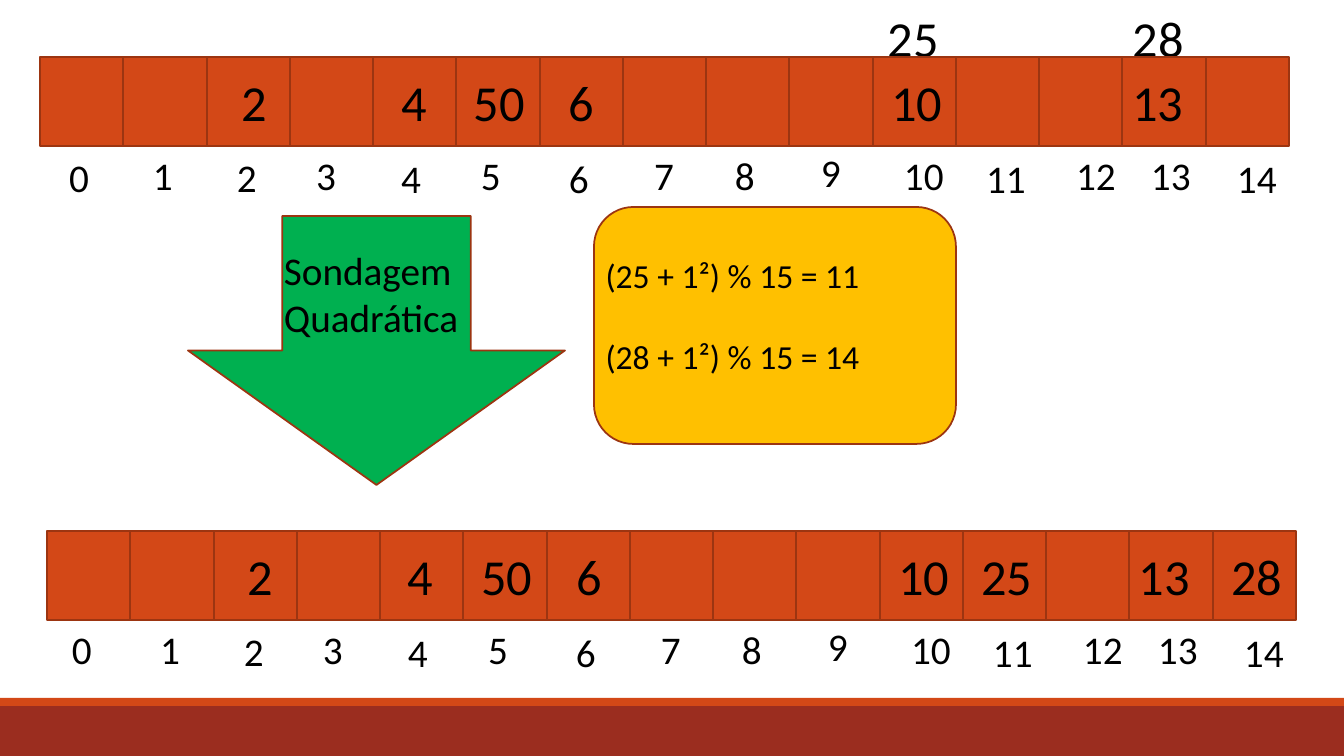
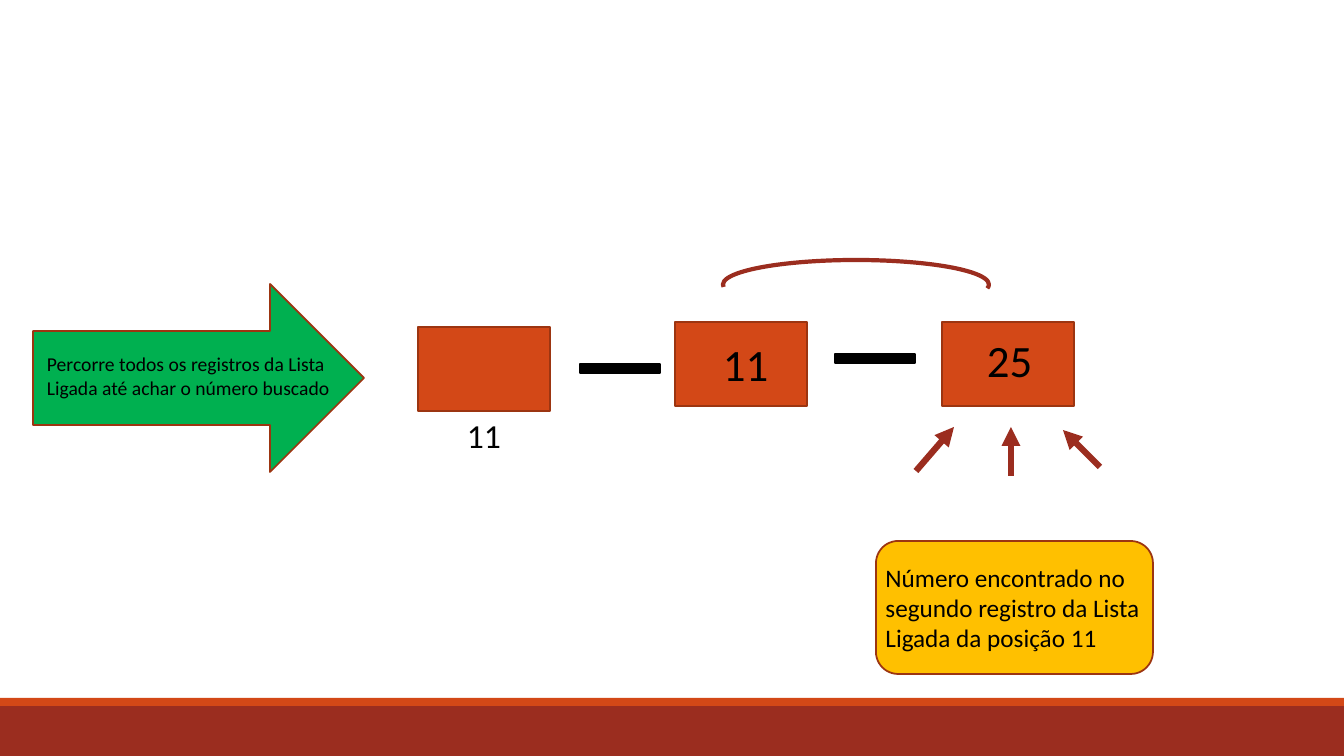
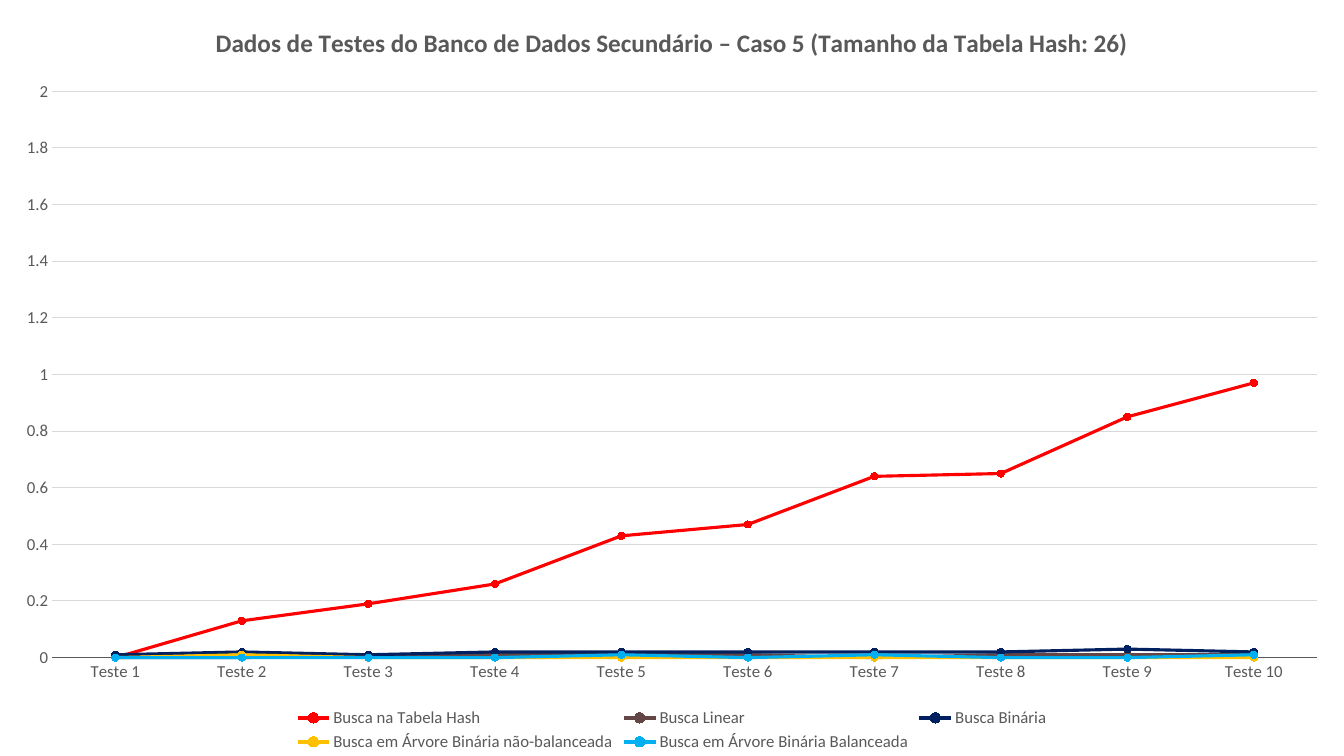
from lxml import etree
from pptx import Presentation
from pptx import util as u
from pptx.chart.data import CategoryChartData
from pptx.dml.color import RGBColor
from pptx.enum import chart as charts, shapes, text
from pptx.oxml import parse_xml
from pptx.oxml.ns import nsdecls, qn

WIDTH, HEIGHT = 1344, 756
PX = 914400 / 100.8
FONT = "Calibri"
COLOURS = {
    "cell": "D34817", "edge": "9C3511", "band": "9B2D1F", "arrow": "00B050",
    "note": "FFC000", "ink": "000000", "paper": "FFFFFF",
    "label": "595959", "grid": "D9D9D9",
    "hash": "FF0000", "linear": "644646", "binary": "002060",
    "unbalanced": "FFC000", "balanced": "00B0F0",
}

SLOTS = 15
ROW_WIDTH, CELL_HEIGHT = 1249, 89
# Left inset of each stored key, by slot
STORED = {2: ("2", 34), 4: ("4", 28), 5: ("50", 18), 6: ("6", 29),
          10: ("10", 18), 13: ("13", 10)}
REHASHED = {11: ("25", 18), 14: ("28", 18)}
# Offset of each slot number from the lower left corner of its cell
NUMBER_OFFSETS = [(19, 2), (20, 0), (20, 2), (16, 0), (18, 3), (15, 0), (19, 3),
                  (21, 0), (19, 0), (22, -3), (21, 0), (20, 3), (27, 0), (19, 0),
                  (21, 3)]

TESTS = [f"Teste {n}" for n in range(1, 11)]
CHART_TITLE = ("Dados de Testes do Banco de Dados Secundário – Caso 5 "
               "(Tamanho da Tabela Hash: 26)")
SEARCHES = [
    ("Busca na Tabela Hash", "hash",
     (0, 0.13, 0.19, 0.26, 0.43, 0.47, 0.64, 0.65, 0.85, 0.97)),
    ("Busca Linear", "linear",
     (0, 0, 0.01, 0.01, 0.01, 0.01, 0, 0.01, 0.01, 0.01)),
    ("Busca Binária", "binary",
     (0.01, 0.02, 0.01, 0.02, 0.02, 0.02, 0.02, 0.02, 0.03, 0.02)),
    ("Busca em Árvore Binária não-balanceada", "unbalanced",
     (0, 0.01, 0, 0, 0, 0, 0, 0, 0, 0)),
    ("Busca em Árvore Binária Balanceada", "balanced",
     (0, 0, 0, 0, 0.01, 0, 0.01, 0, 0, 0.01)),
]


def px(length):
    return u.Emu(round(length * PX))


def rgb(name):
    return RGBColor.from_string(COLOURS[name])


def style_font(font, size, colour="ink", bold=False):
    font.name, font.size, font.bold = FONT, u.Pt(size), bold
    font.color.rgb = rgb(colour)


def write(frame, lines, size, insets=(10, 5, 10, 5), gap=0):
    """Write one left-aligned paragraph per line; insets run left, top, right, bottom."""
    frame.word_wrap = True
    (frame.margin_left, frame.margin_top,
     frame.margin_right, frame.margin_bottom) = map(px, insets)
    for n, line in enumerate(lines):
        paragraph = frame.add_paragraph() if n else frame.paragraphs[0]
        paragraph.alignment = text.PP_ALIGN.LEFT
        if n and gap:
            paragraph.space_before = u.Pt(gap)
        run = paragraph.add_run()
        run.text = line
        style_font(run.font, size)


def add_label(slide, box, lines, size):
    write(slide.shapes.add_textbox(*map(px, box)).text_frame, lines, size)


def add_block(slide, kind, box, fill, edge="edge", weight=1.25):
    block = slide.shapes.add_shape(kind, *map(px, box))
    block.shadow.inherit = False
    if fill:
        block.fill.solid()
        block.fill.fore_color.rgb = rgb(fill)
    else:
        block.fill.background()
    if edge:
        block.line.color.rgb = rgb(edge)
        block.line.width = u.Pt(weight)
    else:
        block.line.fill.background()
    block.text_frame.vertical_anchor = text.MSO_ANCHOR.MIDDLE
    return block


def add_cell(slide, box, key="", size=36, inset=10, lift=0):
    """Draw one cell; lift raises its key above the middle."""
    cell = add_block(slide, shapes.MSO_SHAPE.RECTANGLE, box, "cell")
    if key:
        write(cell.text_frame, [key], size, (inset, 0, 0, 2 * lift))


def add_note(slide, box, lines, size, insets, gap=0):
    note = add_block(slide, shapes.MSO_SHAPE.ROUNDED_RECTANGLE, box, "note")
    write(note.text_frame, lines, size, insets, gap)


def add_pointer(slide, start, end):
    pointer = slide.shapes.add_connector(
        shapes.MSO_CONNECTOR.STRAIGHT, *map(px, start + end))
    pointer.line.color.rgb = rgb("band")
    pointer.line.width = u.Pt(4.5)
    properties = pointer.element.spPr
    etree.SubElement(properties.find(qn("a:ln")), qn("a:tailEnd"), type="triangle")
    etree.SubElement(properties, qn("a:effectLst"))


def add_hash_row(slide, left, top, keys, first_offset):
    edges = [left + round(n * ROW_WIDTH / SLOTS) for n in range(SLOTS + 1)]
    for n in range(SLOTS):
        key, inset = keys.get(n, ("", 0))
        add_cell(slide, (edges[n], top, edges[n + 1] - edges[n], CELL_HEIGHT),
                 key, inset=inset)
    for n, (right, down) in enumerate([first_offset] + NUMBER_OFFSETS[1:]):
        add_label(slide, (edges[n] + right, top + CELL_HEIGHT + down, 68, 57),
                  [str(n)], 28)


def build_bands(slide, layout):
    """Draw the bottom bands and move them to the layout that all slides share."""
    for top, height, fill in ((706, 50, "band"), (698, 8, "cell")):
        band = add_block(slide, shapes.MSO_SHAPE.RECTANGLE,
                         (0, top, WIDTH, height), fill, edge=None)
        layout.shapes.element.append(band.element)


def build_probing_slide(slide):
    for left, collision in ((878, "25"), (1123, "28")):
        add_label(slide, (left, 2, 85, 72), [collision], 36)
    add_block(slide, shapes.MSO_SHAPE.DOWN_ARROW, (188, 216, 377, 269), "arrow")
    add_label(slide, (274, 241, 416, 105), ["Sondagem", "Quadrática"], 28)
    add_note(slide, (594, 207, 362, 237),
             ["(25 + 1²) % 15 = 11", "(28 + 1²) % 15 = 14"],
             24, (0, 0, 0, 20), gap=29)
    add_hash_row(slide, 40, 57, STORED, NUMBER_OFFSETS[0])
    add_hash_row(slide, 47, 531, {**STORED, **REHASHED}, (15, 0))


def build_linked_list_slide(slide):
    add_block(slide, shapes.MSO_SHAPE.RIGHT_ARROW, (33, 284, 331, 188), "arrow")
    add_label(slide, (37, 347, 347, 57),
              ["Percorre todos os registros da Lista Ligada até achar o número buscado"],
              14)
    for left, top, key, inset, lift in ((418, 327, "", 0, 0), (675, 322, "11", 48, 0),
                                        (942, 322, "25", 45, 4)):
        add_cell(slide, (left, top, 132, 84), key, 32, inset, lift)
    add_label(slide, (457, 410, 112, 50), ["11"], 24)
    for left, top in ((580, 364), (835, 354)):
        add_block(slide, shapes.MSO_SHAPE.RECTANGLE, (left, top, 80, 9), "ink", "ink")

    hop = add_block(slide, shapes.MSO_SHAPE.ARC, (723, 260, 266, 49),
                    None, "band", 3)
    hop.adjustments[0], hop.adjustments[1] = 107.36, 1

    for start, end in (((916, 471), (954, 427)), ((1011, 476), (1011, 427)),
                       ((1100, 467), (1063, 430))):
        add_pointer(slide, start, end)
    add_note(slide, (876, 541, 277, 133),
             ["Número encontrado no segundo registro da Lista Ligada da posição 11"],
             18, (3, 0, 0, 0))


def build_chart_slide(slide):
    results = CategoryChartData()
    results.categories = TESTS
    for name, _, times in SEARCHES:
        results.add_series(name, times)
    chart = slide.shapes.add_chart(
        charts.XL_CHART_TYPE.LINE_MARKERS, 0, 0, px(WIDTH), px(HEIGHT), results).chart
    style_font(chart.font, 10)
    background = parse_xml(
        f'<c:spPr {nsdecls("c", "a")}><a:solidFill><a:srgbClr val="{COLOURS["paper"]}"/>'
        '</a:solidFill><a:ln><a:noFill/></a:ln></c:spPr>')
    chart.element.find(qn("c:chart")).addnext(background)

    chart.has_title = True
    title = chart.chart_title.text_frame.paragraphs[0].add_run()
    title.text = CHART_TITLE
    style_font(title.font, 18, "label", bold=True)

    chart.has_legend = True
    chart.legend.position = charts.XL_LEGEND_POSITION.BOTTOM
    chart.legend.include_in_layout = False
    style_font(chart.legend.font, 12, "label")

    for axis in (chart.category_axis, chart.value_axis):
        axis.major_tick_mark = axis.minor_tick_mark = charts.XL_TICK_MARK.NONE
        style_font(axis.tick_labels.font, 12, "label")
    chart.category_axis.format.line.color.rgb = rgb("label")
    chart.category_axis.format.line.width = u.Pt(0.75)
    scale = chart.value_axis
    scale.minimum_scale, scale.maximum_scale, scale.major_unit = 0, 2, 0.2
    scale.format.line.fill.background()
    scale.major_gridlines.format.line.color.rgb = rgb("grid")
    scale.major_gridlines.format.line.width = u.Pt(0.75)

    plot = chart.plots[0]
    plot.vary_by_categories = False
    for series, (_, colour, _) in zip(plot.series, SEARCHES):
        series.smooth = False
        series.format.line.color.rgb = rgb(colour)
        series.format.line.width = u.Pt(2.25)
        series.marker.style = charts.XL_MARKER_STYLE.CIRCLE
        series.marker.size = 5
        series.marker.format.fill.solid()
        series.marker.format.fill.fore_color.rgb = rgb(colour)
        series.marker.format.line.color.rgb = rgb(colour)


def main():
    deck = Presentation()
    deck.slide_width, deck.slide_height = px(WIDTH), px(HEIGHT)
    blank = deck.slide_layouts[6]
    builders = (build_probing_slide, build_linked_list_slide, build_chart_slide)
    pages = [deck.slides.add_slide(blank) for _ in builders]
    build_bands(pages[0], blank)
    for build, page in zip(builders, pages):
        build(page)
    deck.save("out.pptx")


if __name__ == "__main__":
    main()
